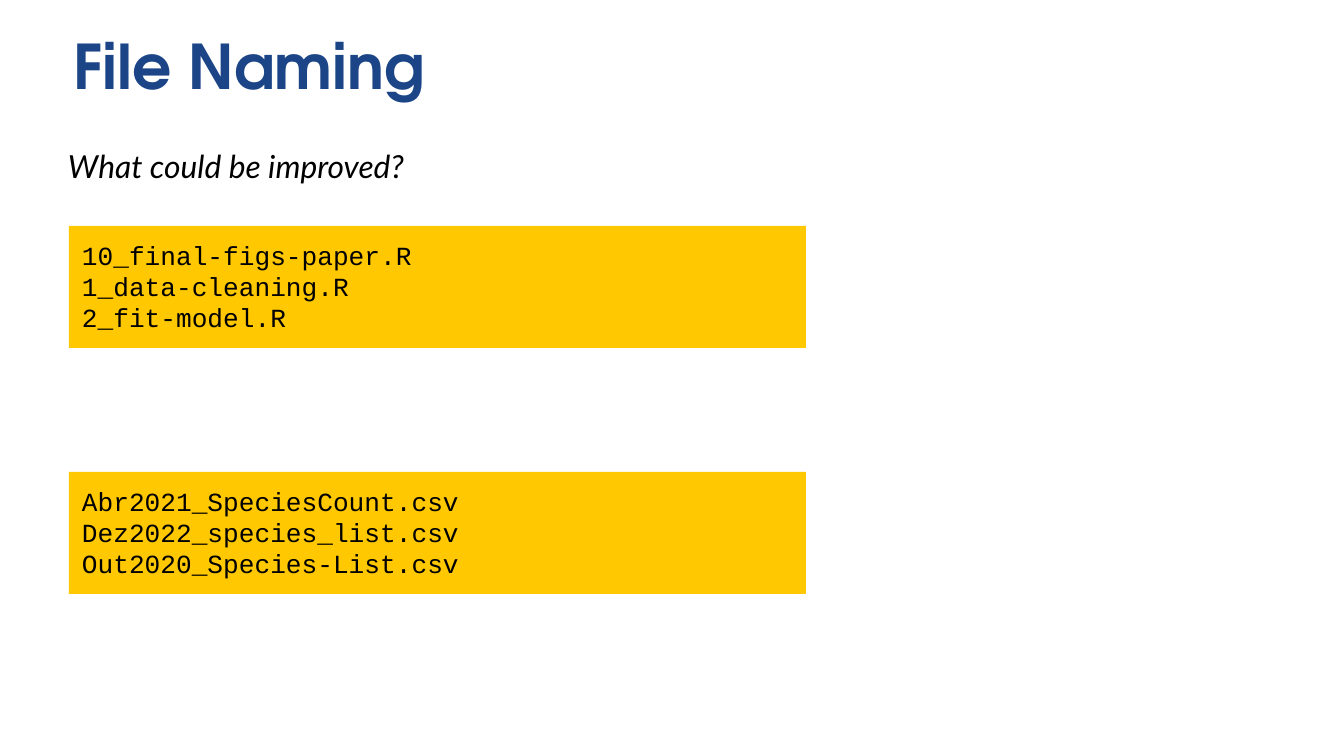
from dataclasses import dataclass

from pptx import Presentation
from pptx.dml.color import RGBColor as RGB
from pptx.enum.shapes import MSO_SHAPE as SHAPE
from pptx.enum.text import MSO_ANCHOR as ANCHOR, MSO_AUTO_SIZE as AUTO, PP_ALIGN as ALIGN
from pptx.util import Inches, Pt

WIDTH, HEIGHT = 1344, 756
PX = Inches(10) / WIDTH


@dataclass(frozen=True)
class Style:
    name: str
    size: int
    color: str
    bold: bool = False
    italic: bool = False


@dataclass(frozen=True)
class Theme:
    title: Style = Style("TeX Gyre Adventor", 33, "1C4587", bold=True)
    question: Style = Style("Lato", 17, "000000", italic=True)
    code: Style = Style("Courier New", 14, "000000")
    panel: str = "FFC800"


THEME = Theme()


def px(n):
    return round(n * PX)


def place(s, box):
    for attr, n in zip(("left", "top", "width", "height"), box):
        setattr(s, attr, px(n))


def write(s, lines, style, inset, spacing=1.0):
    tf = s.text_frame
    frame = {"word_wrap": True, "auto_size": AUTO.NONE, "vertical_anchor": ANCHOR.TOP}
    frame.update({f"margin_{side}": px(inset) for side in ("left", "top", "right", "bottom")})
    for attr, value in frame.items():
        setattr(tf, attr, value)
    font = {"name": style.name, "size": Pt(style.size), "bold": style.bold, "italic": style.italic}
    for i, line in enumerate(lines):
        p = tf.add_paragraph() if i else tf.paragraphs[0]
        p.alignment = ALIGN.LEFT
        p.line_spacing = spacing
        r = p.add_run()
        r.text = line
        for attr, value in font.items():
            setattr(r.font, attr, value)
        r.font.color.rgb = RGB.from_string(style.color)


def add_title(slide, box, text):
    s = slide.shapes.title
    place(s, box)
    write(s, [text], THEME.title, inset=10, spacing=0.9)


def add_question(slide, box, text):
    s = slide.shapes.add_textbox(*map(px, box))
    write(s, [text], THEME.question, inset=13)


def add_file_list(slide, box, names):
    s = slide.shapes.add_shape(SHAPE.RECTANGLE, *map(px, box))
    s.shadow.inherit = False
    s.fill.solid()
    s.fill.fore_color.rgb = RGB.from_string(THEME.panel)
    s.line.fill.background()
    write(s, names, THEME.code, inset=13)


def add_file_lists(slide, box, lists, panel_height):
    left, top, width, height = box
    step = (height - panel_height) / (len(lists) - 1)
    for i, names in enumerate(lists):
        add_file_list(slide, (left, top + i * step, width, panel_height), names)


def main():
    prs = Presentation()
    prs.slide_width, prs.slide_height = px(WIDTH), px(HEIGHT)
    slide = prs.slides.add_slide(prs.slide_layouts[5])
    add_title(slide, (63, 26, 691, 87), "File Naming")
    add_question(slide, (55, 134, 1228, 66), "What could be improved?")
    lists = [
        ["10_final-figs-paper.R", "1_data-cleaning.R", "2_fit-model.R"],
        ["Abr2021_SpeciesCount.csv", "Dez2022_species_list.csv", "Out2020_Species-List.csv"],
    ]
    add_file_lists(slide, (69, 226, 737, 368), lists, panel_height=122)
    prs.save("out.pptx")


if __name__ == "__main__":
    main()
